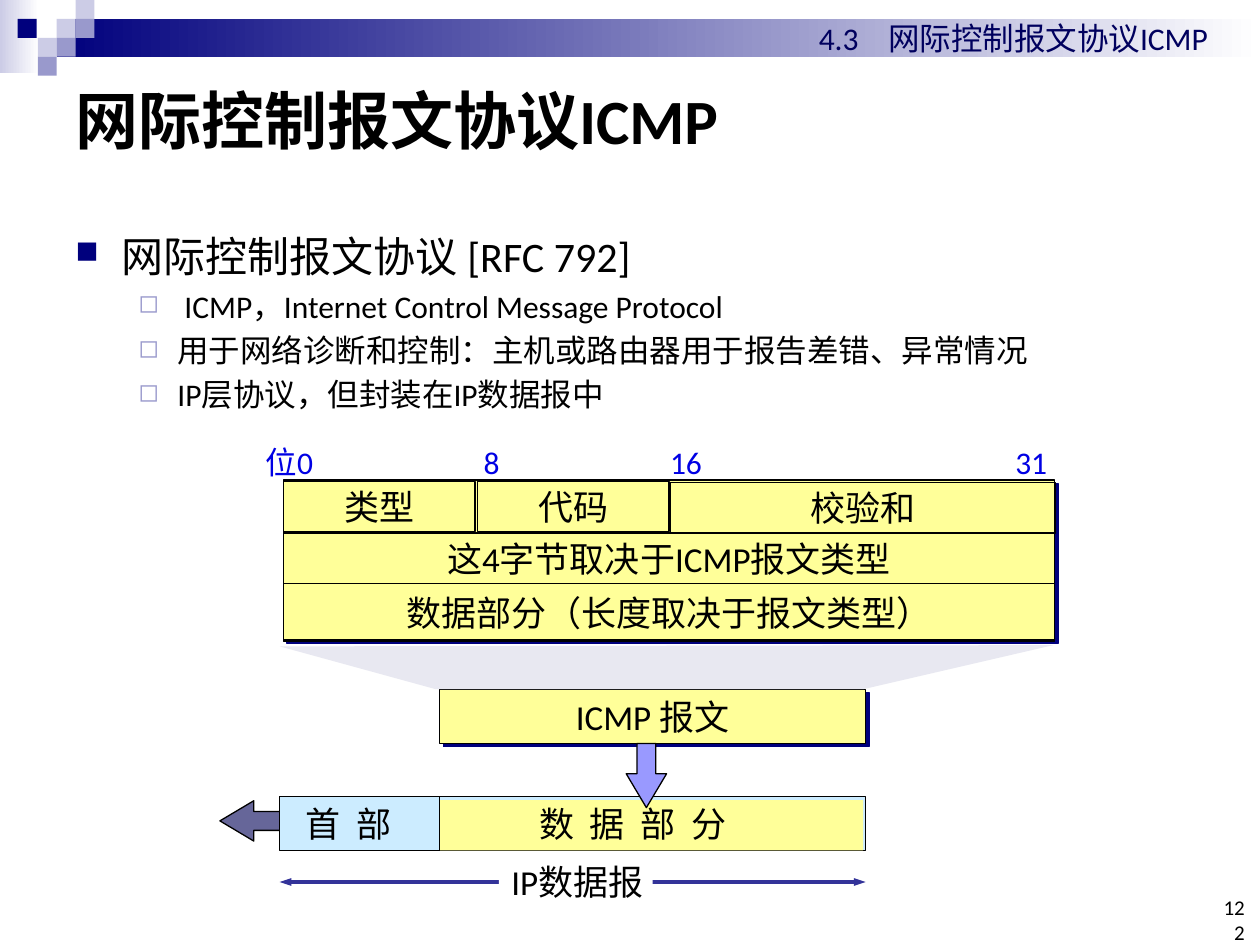
from typing import NamedTuple, Optional

from lxml import etree
from pptx import Presentation
from pptx.dml.color import RGBColor
from pptx.enum.shapes import MSO_CONNECTOR, MSO_SHAPE
from pptx.enum.text import MSO_ANCHOR, PP_ALIGN
from pptx.oxml.ns import qn
from pptx.util import Emu, Pt

PX = 9144  # 100 px to the inch
FONT = "Calibri"
RECT, DOWN_ARROW = MSO_SHAPE.RECTANGLE, MSO_SHAPE.DOWN_ARROW
STRAIGHT = MSO_CONNECTOR.STRAIGHT
TOP, MIDDLE, BOTTOM = MSO_ANCHOR.TOP, MSO_ANCHOR.MIDDLE, MSO_ANCHOR.BOTTOM
LEFT, CENTER, RIGHT = PP_ALIGN.LEFT, PP_ALIGN.CENTER, PP_ALIGN.RIGHT

BLACK = RGBColor(0x00, 0x00, 0x00)
WHITE = RGBColor(0xFF, 0xFF, 0xFF)
NAVY = RGBColor(0x00, 0x00, 0x7D)
HEADER_BLUE = RGBColor(0x00, 0x00, 0x5E)
BIT_BLUE = RGBColor(0x00, 0x00, 0xE4)
PALE = RGBColor(0xCC, 0xCC, 0xE6)
LILAC = RGBColor(0x99, 0x99, 0xCC)
YELLOW = RGBColor(0xFF, 0xFF, 0x99)
SKY = RGBColor(0xCC, 0xEC, 0xFF)
SLATE = RGBColor(0x66, 0x66, 0x99)
PERIWINKLE = RGBColor(0x99, 0x99, 0xFF)
INDIGO = RGBColor(0x33, 0x33, 0x99)
FUNNEL_GREY = RGBColor(0xE8, 0xE8, 0xF1)


class Area(NamedTuple):
    left: int
    top: int
    width: int
    height: int

    def emu(self) -> list:
        return [Emu(length * PX) for length in self]


class Style(NamedTuple):
    size: int = 20
    color: RGBColor = BLACK
    bold: bool = False
    align: PP_ALIGN = LEFT
    anchor: MSO_ANCHOR = TOP
    insets: tuple = (10, 5, 10, 5)
    wrap: bool = True
    tabs: tuple = ()
    spacing: int = 0


class Bullet(NamedTuple):
    text: str
    size: int
    mark: str
    color: RGBColor
    percent: int
    margin: int
    hanging: int
    line_spacing: float
    space_before: float


class Field(NamedTuple):
    text: str
    area: Area


CENTERED = Style(align=CENTER, anchor=MIDDLE)
SPACED = Style(spacing=225)
OPEN_RIGHT = (10, 5, 0, 5)

MOSAIC = [(45, 15, PALE), (60, 0, PALE), (60, 15, LILAC), (30, 30, PALE),
          (14, 15, NAVY), (45, 30, LILAC), (30, 45, LILAC)]
BULLETS = [Bullet("网际控制报文协议 [RFC 792]", 24, "■", NAVY, 75, 37, 37, 1.5, 0)] + [
    Bullet(text, 18, "◻", LILAC, 80, 81, 31, 1.0, 3.6)
    for text in (" ICMP，Internet Control Message Protocol",
                 "用于网络诊断和控制：主机或路由器用于报告差错、异常情况",
                 "IP层协议，但封装在IP数据报中")]
FIELDS = [
    Field("类型", Area(225, 382, 152, 40)),
    Field("校验和", Area(532, 383, 306, 40)),
    Field("代码", Area(379, 382, 152, 40)),
    Field("这4字节取决于ICMP报文类型", Area(225, 423, 612, 40)),
    Field("数据部分（长度取决于报文类型）", Area(225, 463, 612, 46)),
]


def add_child(parent, tag: str, **attributes):
    return etree.SubElement(parent, qn(tag), attributes)


def prepare_frame(shape, style: Style):
    frame = shape.text_frame
    frame.word_wrap = style.wrap
    frame.vertical_anchor = style.anchor
    (frame.margin_left, frame.margin_top,
     frame.margin_right, frame.margin_bottom) = [Emu(inset * PX) for inset in style.insets]
    return frame


def add_run(para, text: str, size: int, color: RGBColor, bold: bool = False):
    run = para.add_run()
    run.text = text
    run.font.name, run.font.size, run.font.bold = FONT, Pt(size), bold
    run.font.color.rgb = color
    return run


def write(shape, text: str, style: Style) -> None:
    para = prepare_frame(shape, style).paragraphs[0]
    if style.tabs:
        tab_list = add_child(para._p.get_or_add_pPr(), "a:tabLst")
        for position in style.tabs:
            add_child(tab_list, "a:tab", pos=str(position * PX), algn="l")
    para.alignment = style.align
    run = add_run(para, text, style.size, style.color, style.bold)
    if style.spacing:
        run.font._element.set("spc", str(style.spacing))


def add_text(slide, area: Area, text: str, style: Style) -> None:
    write(slide.shapes.add_textbox(*area.emu()), text, style)


def paint(shape, fill: Optional[RGBColor], outlined: bool) -> None:
    shape.shadow.inherit = False
    if fill is None:
        shape.fill.background()
    else:
        shape.fill.solid()
        shape.fill.fore_color.rgb = fill
    if outlined:
        shape.line.color.rgb, shape.line.width = BLACK, Pt(0.75)
    else:
        shape.line.fill.background()


def add_box(slide, area: Area, fill: Optional[RGBColor], outlined: bool = False, kind=RECT):
    box = slide.shapes.add_shape(kind, *area.emu())
    paint(box, fill, outlined)
    return box


def add_gradient(slide, area: Area, start: RGBColor) -> None:
    box = add_box(slide, area, start)
    box.fill.gradient()
    box.fill.gradient_angle = 0
    for stop, color in zip(box.fill.gradient_stops, (start, WHITE)):
        stop.color.rgb = color


def add_shadow(shape) -> None:
    effects = shape._element.spPr.find(qn("a:effectLst"))
    shadow = add_child(effects, "a:outerShdw", dist=str(Pt(2.8)), dir="2700000",
                       algn="ctr", rotWithShape="0")
    add_child(shadow, "a:srgbClr", val=str(NAVY))


def add_arrow(slide, area: Area, fill: RGBColor, rotation: int = 0) -> None:
    arrow = add_box(slide, area, fill, True, DOWN_ARROW)
    arrow.adjustments[0], arrow.adjustments[1] = 0.47, 0.84
    arrow.rotation = rotation


def add_line(slide, start: tuple, end: tuple, color: RGBColor, width: float, arrows: bool = False) -> None:
    line = slide.shapes.add_connector(STRAIGHT, *[Emu(length * PX) for length in start + end])
    line.line.color.rgb, line.line.width = color, Pt(width)
    if arrows:
        for tag in ("a:headEnd", "a:tailEnd"):
            add_child(line.line._get_or_add_ln(), tag, type="triangle", w="sm", len="med")
    add_child(line._element.spPr, "a:effectLst")


def add_bullets(slide, area: Area) -> None:
    frame = prepare_frame(slide.shapes.add_textbox(*area.emu()), Style())
    for index, item in enumerate(BULLETS):
        para = frame.add_paragraph() if index else frame.paragraphs[0]
        properties = para._p.get_or_add_pPr()
        properties.set("marL", str(item.margin * PX))
        properties.set("indent", str(-item.hanging * PX))
        add_child(add_child(properties, "a:buClr"), "a:srgbClr", val=str(item.color))
        add_child(properties, "a:buSzPct", val=str(item.percent * 1000))
        add_child(properties, "a:buChar", char=item.mark)
        para.line_spacing = item.line_spacing
        if index:
            para.level = 1
            para.space_before = Pt(item.space_before)
        add_run(para, item.text, item.size, BLACK)


def add_header(slide) -> None:
    add_gradient(slide, Area(0, 0, 31, 58), PALE)
    add_gradient(slide, Area(45, 15, 955, 30), NAVY)
    for left, top, color in MOSAIC:
        add_box(slide, Area(left, top, 15, 15), color)
    add_text(slide, Area(640, 10, 336, 40), "4.3\t网际控制报文协议ICMP",
             Style(18, HEADER_BLUE, insets=OPEN_RIGHT, tabs=(55,)))


def add_datagram(slide) -> None:
    message = add_box(slide, Area(349, 547, 338, 43), YELLOW, True)
    add_shadow(message)
    write(message, "ICMP 报文", CENTERED)
    add_arrow(slide, Area(184, 626, 32, 51), SLATE, 90)
    add_box(slide, Area(222, 632, 465, 43), SKY, True)
    add_box(slide, Area(349, 635, 336, 40), YELLOW)
    add_line(slide, (222, 700), (687, 700), INDIGO, 2.25, True)
    add_text(slide, Area(233, 632, 91, 43), "首 部", SPACED)
    add_line(slide, (349, 632), (349, 675), BLACK, 0.75)
    add_text(slide, Area(418, 632, 177, 43), "数 据 部 分", SPACED)
    caption = add_box(slide, Area(396, 683, 122, 34), WHITE)
    write(caption, "IP数据报", Style(anchor=MIDDLE, wrap=False))
    add_arrow(slide, Area(497, 590, 32, 51), PERIWINKLE)


def add_message_format(slide) -> None:
    outline = slide.shapes.build_freeform(222, 513, scale=PX)
    outline.add_line_segments([(346, 547), (685, 547), (836, 512)])
    paint(outline.convert_to_shape(), FUNNEL_GREY, False)
    add_shadow(add_box(slide, Area(225, 381, 612, 127), YELLOW, True))
    for field in FIELDS:
        write(add_box(slide, field.area, None, True), field.text, CENTERED)
    add_text(slide, Area(201, 347, 650, 40), "位0\t8\t16\t31",
             Style(18, BIT_BLUE, anchor=MIDDLE, insets=OPEN_RIGHT, tabs=(173, 321, 595)))


def main() -> None:
    deck = Presentation()
    deck.slide_width, deck.slide_height = Emu(1000 * PX), Emu(750 * PX)
    slide = deck.slides.add_slide(deck.slide_layouts[6])
    add_header(slide)
    add_text(slide, Area(50, 50, 900, 89), "网际控制报文协议ICMP", Style(36, bold=True, anchor=MIDDLE))
    add_bullets(slide, Area(50, 158, 900, 207))
    add_text(slide, Area(965, 733, 23, 17), "122",
             Style(12, align=RIGHT, anchor=BOTTOM, insets=(0, 0, 0, 0)))
    add_datagram(slide)
    add_message_format(slide)
    deck.save("out.pptx")


if __name__ == "__main__":
    main()
